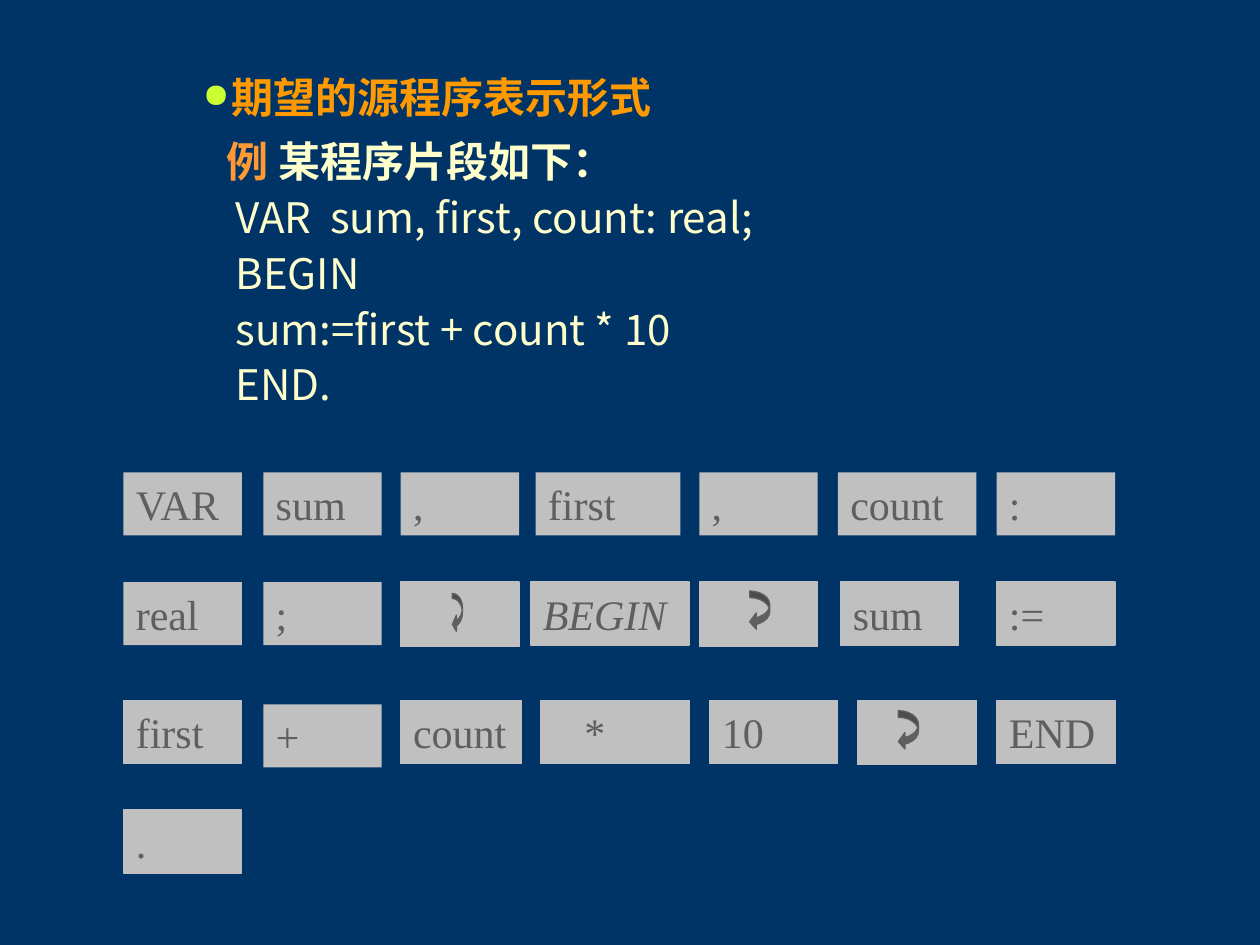
from pptx import Presentation
from pptx import util as u
from pptx.dml.color import RGBColor
from pptx.enum import shapes, text
from pptx.oxml import parse_xml
from pptx.oxml.ns import nsdecls, qn

SANS, SERIF = "Noto Sans CJK SC", "Times New Roman"
NAVY, GREY, DARK = "003366", "C0C0C0", "5F5F5F"
ORANGE, AMBER, CREAM, LIME = "FF9900", "FF9933", "FFFFCC", "CCFF33"

# Content
HEADING = "期望的源程序表示形式"
EXAMPLE = [("例 ", AMBER), ("某程序片段如下：", CREAM)]
CODE = ["VAR  sum, first, count: real;", "BEGIN", "sum:=first + count * 10", "END."]

# Token rows: top, then (token, left, width, outlined)
COLUMNS = [0.98, 2.09, 3.18, 4.25, 5.55, 6.65, 7.91]
WIDTH, HEIGHT = 0.94, 0.5
RETURN = "return"
TOKEN_ROWS = [
    (3.75, [("VAR", COLUMNS[0], WIDTH, False), ("sum", COLUMNS[1], WIDTH, False),
            (",", COLUMNS[2], WIDTH, False), ("first", COLUMNS[3], 1.15, False),
            (",", COLUMNS[4], WIDTH, False), ("count", COLUMNS[5], 1.1, False),
            (":", COLUMNS[6], WIDTH, False)]),
    (4.62, [("real", COLUMNS[0], WIDTH, False), (";", COLUMNS[1], WIDTH, False),
            (RETURN, COLUMNS[2], WIDTH, True), ("BEGIN", 4.21, 1.26, True),
            (RETURN, COLUMNS[4], WIDTH, True), ("sum", 6.67, WIDTH, True),
            (":=", COLUMNS[6], WIDTH, True)]),
    (5.56, [("first", COLUMNS[0], WIDTH, True), ("count", COLUMNS[2], 0.96, True),
            ("*", 4.29, 1.18, True), ("10", 5.63, 1.02, True),
            (RETURN, 6.81, WIDTH, True), ("END", COLUMNS[6], WIDTH, True)]),
    (5.59, [("+", COLUMNS[1], WIDTH, False)]),
    (6.43, [(".", COLUMNS[0], WIDTH, True)]),
]
TOKEN_INDENT = {"*": 0.25}

# Return arrows: left, top, width, adjustments (shaft, head half-height, head length)
ARROW_HEIGHT = 0.31
WIDE_ARROW = (0.33, 0.81, 0.33)
ARROWS = [(3.59, 4.71, 0.08, (0.5, 1.6, 0.4)),
          (5.95, 4.69, 0.16, WIDE_ARROW),
          (7.13, 5.64, 0.16, WIDE_ARROW)]


def color(hex_string):
    return RGBColor.from_string(hex_string)


def add_run(paragraph, words, font, hex_string, bold=False, italic=False):
    run = paragraph.add_run()
    run.text = words
    run.font.size = u.Pt(24)
    run.font.name = font
    run.font.bold, run.font.italic = bold, italic
    run.font.color.rgb = color(hex_string)
    run.font._element.find(qn("a:latin")).addnext(
        parse_xml(f'<a:ea {nsdecls("a")} typeface="{SANS}"/>'))


def format_paragraph(paragraph, space_before=0, line_spacing=1.0, margin=0, indent=0):
    paragraph.alignment = text.PP_ALIGN.LEFT
    paragraph.space_before = u.Pt(space_before)
    paragraph.line_spacing = line_spacing
    properties = paragraph._p.get_or_add_pPr()
    properties.set("marL", str(u.Inches(margin)))
    properties.set("indent", str(u.Inches(indent)))
    return properties


def place(shape, left, top, width, height):
    shape.left, shape.top = u.Inches(left), u.Inches(top)
    shape.width, shape.height = u.Inches(width), u.Inches(height)
    shape.text_frame.auto_size = text.MSO_AUTO_SIZE.NONE
    shape.text_frame.vertical_anchor = text.MSO_ANCHOR.TOP
    return shape.text_frame


def add_box(slide, kind, left, top, width, height, fill, outlined):
    shape = slide.shapes.add_shape(
        kind, u.Inches(left), u.Inches(top), u.Inches(width), u.Inches(height))
    shape.shadow.inherit = False
    shape.fill.solid()
    shape.fill.fore_color.rgb = color(fill)
    if outlined:
        shape.line.color.rgb = color(fill)
        shape.line.width = u.Pt(0.75)
    else:
        shape.line.fill.background()
    return shape


def add_token(slide, token, left, top, width, outlined):
    shape = add_box(slide, shapes.MSO_SHAPE.RECTANGLE, left, top, width, HEIGHT, GREY, outlined)
    if token == RETURN:
        shape.height = u.Inches(HEIGHT + 0.01)
        return
    shape.text_frame.vertical_anchor = text.MSO_ANCHOR.TOP
    paragraph = shape.text_frame.paragraphs[0]
    format_paragraph(paragraph, margin=TOKEN_INDENT.get(token, 0))
    add_run(paragraph, token, SERIF, DARK, italic=token == "BEGIN")


def main():
    presentation = Presentation()
    presentation.slide_width, presentation.slide_height = u.Inches(10), u.Inches(7.5)
    slide = presentation.slides.add_slide(presentation.slide_layouts[1])
    slide.background.fill.solid()
    slide.background.fill.fore_color.rgb = color(NAVY)

    # Heading with its bullet
    frame = place(slide.shapes.title, 1.51, 0.52, 3.8, 0.5)
    frame.word_wrap = False
    properties = format_paragraph(frame.paragraphs[0], 6, margin=0.23, indent=-0.23)
    for bullet in (f'<a:buClr {nsdecls("a")}><a:srgbClr val="{LIME}"/></a:buClr>',
                   f'<a:buSzPct {nsdecls("a")} val="80000"/>',
                   f'<a:buChar {nsdecls("a")} char="●"/>'):
        properties.append(parse_xml(bullet))
    add_run(frame.paragraphs[0], HEADING, SERIF, ORANGE, bold=True)

    # Example program
    frame = place(slide.placeholders[1], 1.7, 1.07, 8.03, 2.41)
    for index in range(len(CODE) + 1):
        paragraph = frame.add_paragraph() if index else frame.paragraphs[0]
        properties = format_paragraph(paragraph, 6, 0.9, margin=0.07 if index else 0)
        properties.append(parse_xml(f'<a:buNone {nsdecls("a")}/>'))
        if index:
            add_run(paragraph, CODE[index - 1], SANS, CREAM)
        else:
            for words, hex_string in EXAMPLE:
                add_run(paragraph, words, SANS, hex_string, bold=True)

    # Token boxes
    for top, tokens in TOKEN_ROWS:
        for token, left, width, outlined in tokens:
            add_token(slide, token, left, top, width, outlined)

    # Return arrows
    for left, top, width, adjustments in ARROWS:
        arrow = add_box(slide, shapes.MSO_SHAPE.CURVED_LEFT_ARROW,
                        left, top, width, ARROW_HEIGHT, DARK, True)
        for index, value in enumerate(adjustments):
            arrow.adjustments[index] = value

    presentation.save("out.pptx")


if __name__ == "__main__":
    main()
